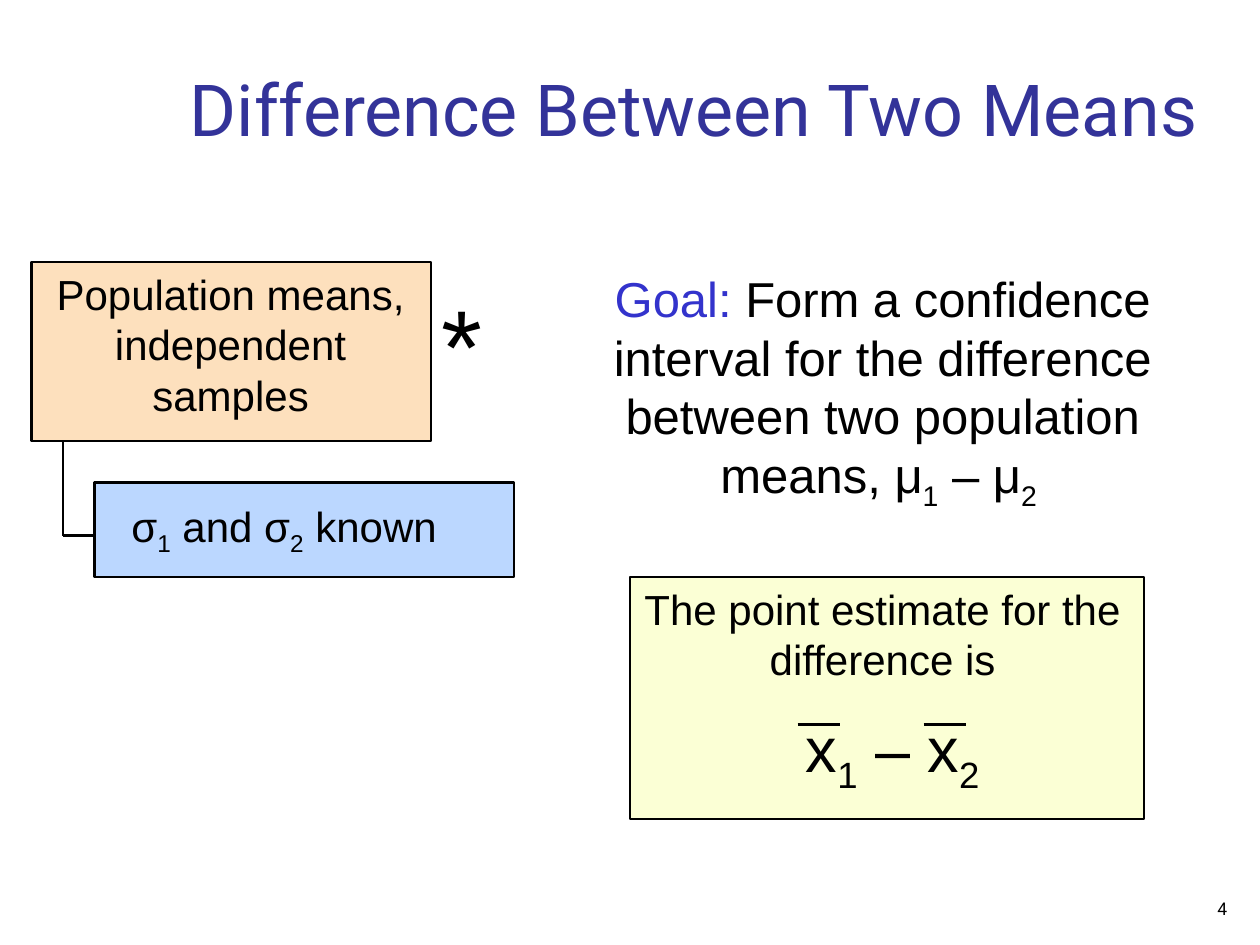
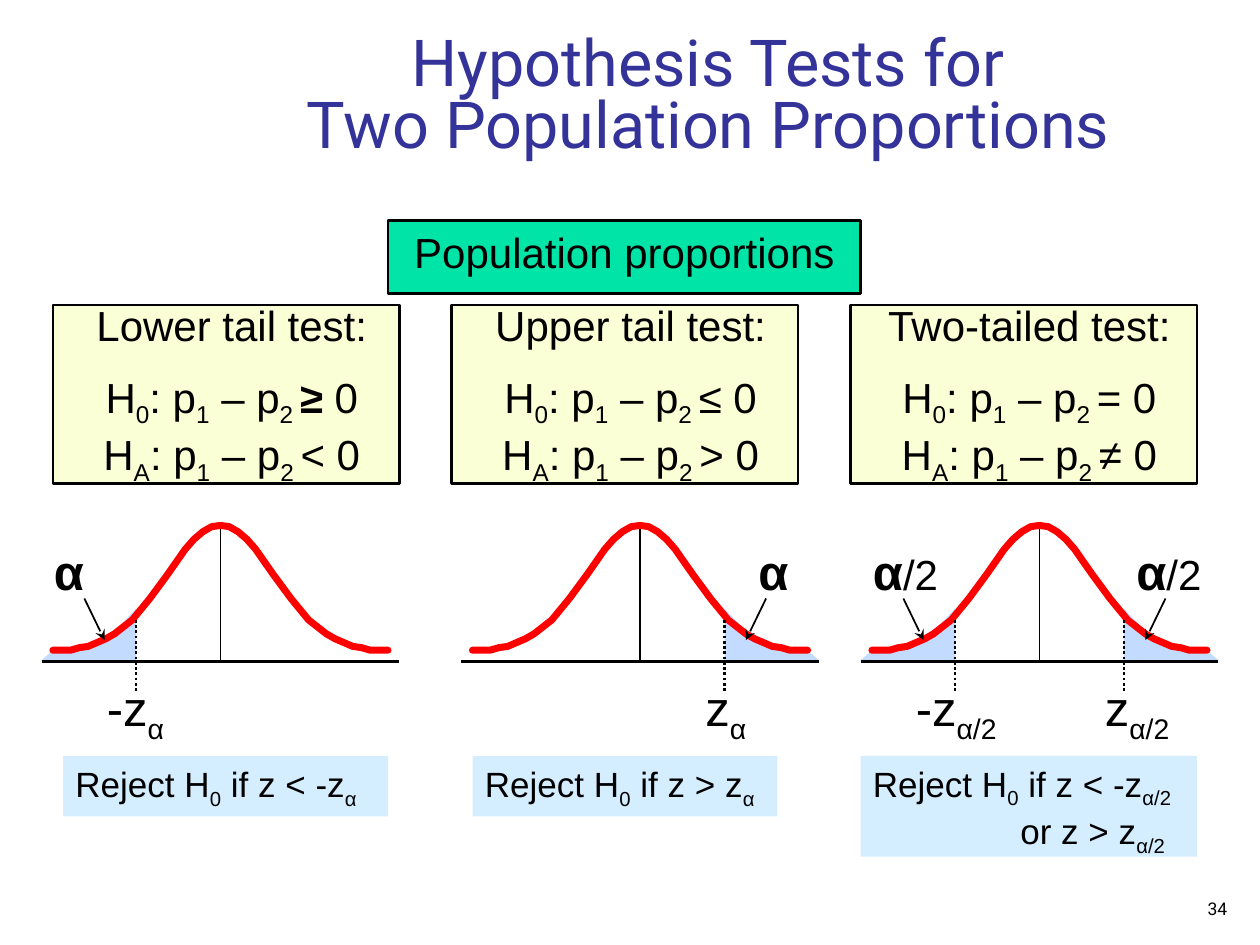
from lxml import etree
from pptx import Presentation
from pptx.dml.color import RGBColor as Rgb
from pptx.enum.dml import MSO_LINE as Dash
from pptx.enum.shapes import MSO_CONNECTOR as Link, MSO_SHAPE as Kind
from pptx.enum.text import MSO_ANCHOR as Anchor, PP_ALIGN as Align
from pptx.oxml.ns import qn
from pptx.util import Inches, Pt

HUES = {
    "title": "333399", "goal": "3333CC", "ink": "000000", "peach": "FDE0BD",
    "blue": "BBD7FF", "cream": "FBFFD5", "green": "00E4A8", "tail": "C3DBFF",
    "curve": "FF0000", "rule": "D5EEFF",
}
BELL = [(1.33, 0.99), (1.19, 0.99), (1.12, 0.97), (1.05, 0.96), (0.98, 0.93),
        (0.91, 0.90), (0.84, 0.86), (0.70, 0.75), (0.56, 0.58), (0.42, 0.39),
        (0.35, 0.29), (0.28, 0.19), (0.21, 0.11), (0.14, 0.05), (0.07, 0.01),
        (0, 0)]
TAIL = [(1.42, 1.07), (1.35, 1.01), (1.10, 0.96), (0.97, 0.92), (0.82, 0.82),
        (0.67, 0.66), (0.67, 1.08), (1.42, 1.08)]


def hue(name):
    """Return the colour with this name."""
    return Rgb.from_string(HUES[name])


def add_runs(para, bits, size, font, color):
    """Add the runs of a paragraph; ~ switches subscript on and off."""
    for bit in bits if isinstance(bits, list) else [bits]:
        text, opts = bit if isinstance(bit, tuple) else (bit, {})
        for num, part in enumerate(text.split("~")):
            for row, words in enumerate(part.split("\n")):
                if row:
                    para.add_line_break()
                if not words:
                    continue
                run = para.add_run()
                run.text = words
                run.font.name = font
                run.font.size = Pt(opts.get("size", size))
                run.font.bold = opts.get("bold", False)
                run.font.color.rgb = hue(opts.get("color", color))
                if num % 2:
                    run.font._element.set("baseline", "-25000")


def write(slide, box, paras, size=24, font="Arial", color="ink", align=Align.CENTER,
          anchor=Anchor.TOP, pad=0.1, fill=None, leading=None, gaps=(), dents=()):
    """Place a text box of formatted paragraphs."""
    shape = slide.shapes.add_textbox(*map(Inches, box))
    if fill:
        shape.fill.solid()
        shape.fill.fore_color.rgb = hue(fill)
    frame = shape.text_frame
    frame.word_wrap = True
    frame.vertical_anchor = anchor
    frame.margin_left = frame.margin_right = Inches(pad)
    frame.margin_top = frame.margin_bottom = Inches(0.05)
    for num, bits in enumerate(paras):
        para = frame.paragraphs[0] if num == 0 else frame.add_paragraph()
        para.alignment = align
        if leading:
            para.line_spacing = leading
        if num < len(gaps) and gaps[num]:
            para.space_before = Pt(gaps[num])
        if num < len(dents) and dents[num]:
            para._p.get_or_add_pPr().set("marL", str(Inches(dents[num])))
        add_runs(para, bits, size, font, color)


def panel(slide, box, fill, width=1.5):
    """Draw a filled rectangle with a black border."""
    shape = slide.shapes.add_shape(Kind.RECTANGLE, *map(Inches, box))
    shape.shadow.inherit = False
    shape.fill.solid()
    shape.fill.fore_color.rgb = hue(fill)
    shape.line.color.rgb = hue("ink")
    shape.line.width = Pt(width)


def line(slide, start, end, width=1.5, dash=None, arrow=False):
    """Draw a straight black line."""
    link = slide.shapes.add_connector(Link.STRAIGHT, *map(Inches, start + end))
    link.line.color.rgb = hue("ink")
    link.line.width = Pt(width)
    if dash:
        link.line.dash_style = dash
    if arrow:
        etree.SubElement(link.line._get_or_add_ln(), qn("a:tailEnd"), type="stealth")
    etree.SubElement(link._element.spPr, qn("a:effectLst"))


def outline(slide, dots, fill=None, stroke=None):
    """Draw a freeform: a filled area or an open curve."""
    spots = [(Inches(x), Inches(y)) for x, y in dots]
    path = slide.shapes.build_freeform(*spots[0])
    path.add_line_segments(spots[1:], close=bool(fill))
    shape = path.convert_to_shape()
    shape.shadow.inherit = False
    if fill:
        shape.fill.solid()
        shape.fill.fore_color.rgb = hue(fill)
        shape.line.fill.background()
    else:
        shape.fill.background()
        shape.line.color.rgb = hue(stroke)
        shape.line.width = Pt(4)
        shape.line._get_or_add_ln().set("cap", "rnd")


def frame(deck, title, box, size, page, leading=None):
    """Add a slide with its title and page number."""
    slide = deck.slides.add_slide(deck.slide_layouts[6])
    write(slide, box, [title], size=size, font="Roboto", color="title",
          anchor=Anchor.BOTTOM, pad=0.09, leading=leading)
    write(slide, (7.75, 7, 2.08, 0.34), [page], size=10, font="Roboto",
          align=Align.RIGHT, anchor=Anchor.BOTTOM, pad=0.09)
    return slide


def tree(slide, x, y):
    """Draw the samples box with its branch to the known sigmas."""
    panel(slide, (x, y, 3.17, 1.42), "peach")
    write(slide, (x + 0.08, y, 3, 1.3), ["Population means, independent samples"])
    panel(slide, (x + 0.5, y + 1.75, 3.33, 0.75), "blue")
    write(slide, (x + 0.67, y + 1.84, 2.67, 0.56), ["σ~1~ and σ~2~ known"])
    line(slide, (x + 0.25, y + 1.42), (x + 0.25, y + 2.17))
    line(slide, (x + 0.25, y + 2.17), (x + 0.5, y + 2.17))
    write(slide, (x + 3.08, y + 0.09, 0.67, 1.1), ["*"], size=60)


def point(slide, x, y):
    """Draw the box with the point estimate."""
    panel(slide, (x, y, 4.08, 1.92), "cream", 0.75)
    write(slide, (x - 0.58, y, 5.17, 0.9), ["The point estimate for the difference is"])
    write(slide, (x - 0.5, y + 1, 5.17, 0.79), ["x~1~ – x~2~"], size=36)
    for left in (x + 1.33, x + 2.33):
        line(slide, (left, y + 1.17), (left + 0.34, y + 1.17), 2.25)


def means(deck):
    """Build the slide on the difference between two means."""
    slide = frame(deck, "Difference Between Two Means", (1.25, 0.42, 8.52, 0.83), 41, "4")
    tree(slide, 0.25, 2.08)
    goal = [("Goal:", {"color": "goal"}),
            " Form a confidence interval for the difference between two "
            "population means, μ~1~ – μ~2 ~"]
    write(slide, (4.42, 2.08, 5.17, 2.03), [goal], size=28)
    point(slide, 5, 4.58)


def claim(slide, x, y, name, null, other):
    """Draw the box with a test's two hypotheses."""
    panel(slide, (x, y, 2.75, 1.42), "cream")
    write(slide, (x - 0.08, y - 0.09, 3, 1.58),
          [name + " tail test:" if name != "Two-tailed" else name + " test:",
           ["H~0~: p~1~ – p~2 ~", null, " 0"], "H~A~: p~1~ – p~2 ~" + other + " 0"],
          gaps=(0, 12))


def bell(slide, mid, y, sides, half):
    """Draw a bell curve with its rejection tails around a midpoint."""
    line(slide, (mid, y), (mid, y + 1.08), 0.75)
    for side in sides:
        outline(slide, [(mid + side * x, y + dy) for x, dy in TAIL], fill="tail")
    for side in (-1, 1):
        outline(slide, [(mid + side * x, y + dy) for x, dy in BELL], stroke="curve")
    line(slide, (mid - 1.42, y + 1.08), (mid + 1.42, y + 1.08), 2)
    alpha = [("α", {"size": 28, "bold": True}), half]
    for side in sides:
        low = side < 0
        cut = mid + side * 0.67
        line(slide, (cut, y + 0.75), (cut, y + 1.33), dash=Dash.ROUND_DOT)
        start, end = (-1.08, -0.92) if low else (1, 0.84)
        line(slide, (mid + start, y + 0.58), (mid + end, y + 0.91), 1, arrow=True)
        right = 0.67 if half else 0.84
        write(slide, (mid + (-1.42 if low else right), y + 0.08, 0.92 if half else 0.42, 0.56),
              [alpha], align=Align.LEFT)
        left = (-1.08 if half else -1) if low else 0.42
        write(slide, (mid + left, y + 1.16, 1.08, 0.63),
              [("-" if low else "") + f"z~α{half}~"], size=28, align=Align.LEFT)


def tests(deck):
    """Build the slide on tests for two proportions."""
    slide = frame(deck, "Hypothesis Tests for\nTwo Population Proportions",
                  (1.58, 0.25, 8.08, 1.08), 37, "34", 0.8)
    panel(slide, (3.08, 1.75, 3.75, 0.58), "green")
    write(slide, (3.08, 1.75, 3.75, 0.5), ["Population proportions"])
    bold = ("≥", {"bold": True})
    rows = [
        ("Lower", bold, "<", 1.75, (-1,), "", (0.5, 2.58, 0.48), ["< -z~α~"]),
        ("Upper", "≤", ">", 5.08, (1,), "", (3.75, 2.42, 0.48), ["> z~α~"]),
        ("Two-tailed", "=", "≠", 8.25, (-1, 1), "/2", (6.83, 2.67, 0.8),
         ["< -z~α/2~", "or z > z~α/2~"]),
    ]
    for num, (name, null, other, mid, sides, half, box, rule) in enumerate(rows):
        claim(slide, 0.42 + num * 3.165, 2.42, name, null, other)
        bell(slide, mid, 4.17, sides, half)
        left, wide, high = box
        write(slide, (left, 6, wide, high), ["Reject H~0~ if z " + rule[0]] + rule[1:],
              size=20, align=Align.LEFT, fill="rule", dents=(0, 1.17))


def main():
    """Build and save the two slides."""
    deck = Presentation()
    deck.slide_width, deck.slide_height = Inches(10), Inches(7.5)
    means(deck)
    tests(deck)
    deck.save("out.pptx")


if __name__ == "__main__":
    main()
